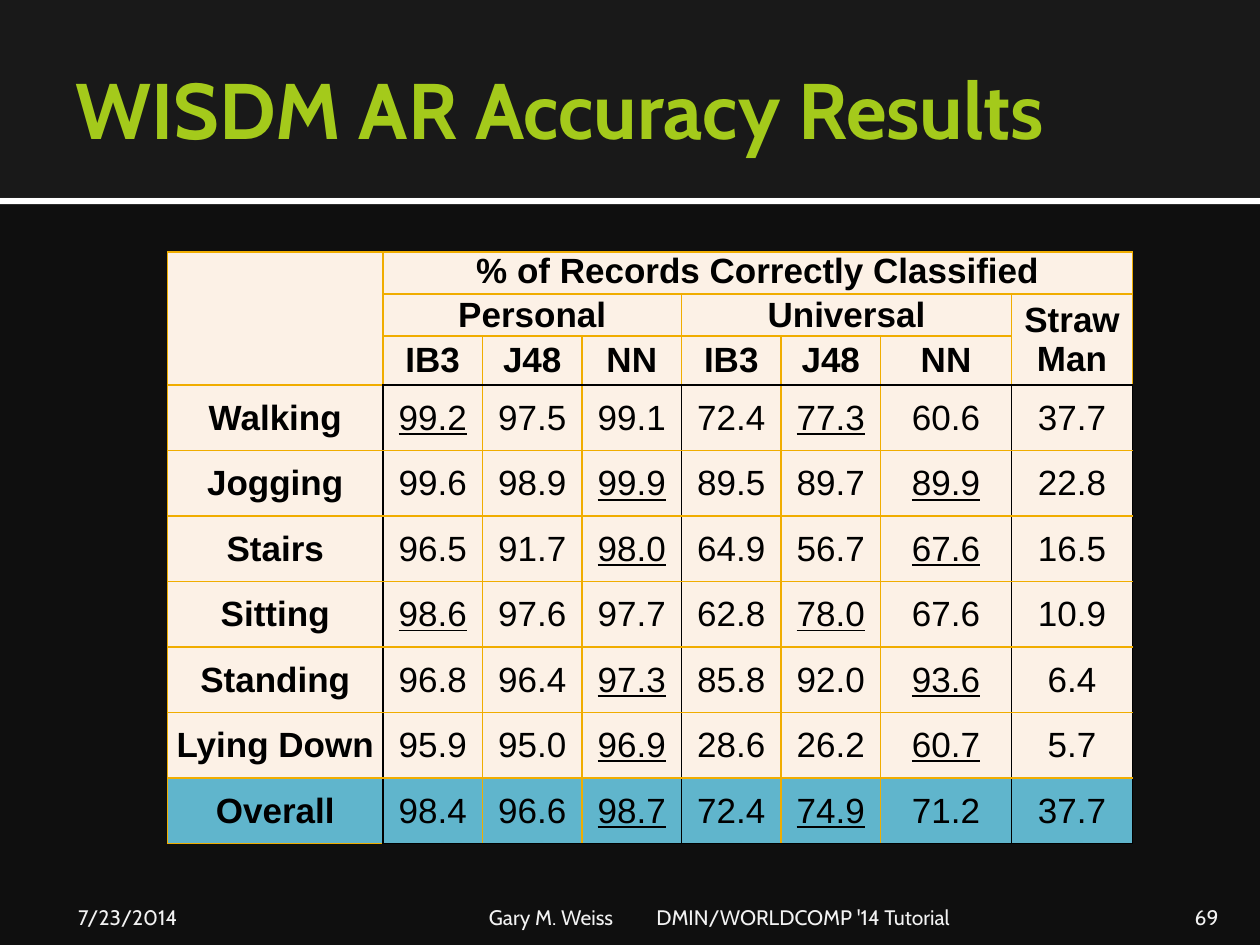
from lxml import etree
from pptx import Presentation
from pptx.dml.color import RGBColor
from pptx.enum.shapes import MSO_SHAPE
from pptx.enum.text import MSO_ANCHOR, PP_ALIGN
from pptx.oxml.ns import qn
from pptx.util import Inches, Pt

LEFT, CENTER, RIGHT = PP_ALIGN.LEFT, PP_ALIGN.CENTER, PP_ALIGN.RIGHT
TOP, MIDDLE, BOTTOM = MSO_ANCHOR.TOP, MSO_ANCHOR.MIDDLE, MSO_ANCHOR.BOTTOM

BLACK, AMBER, CREAM, BLUE = "000000", "F0AD00", "FCF1E6", "60B5CC"

TITLE = "WISDM AR Accuracy Results"
# text, left, width, left inset, right inset, alignment
FOOTERS = [
    ("7/23/2014", 0.5, 2.33, 0.12, 0.05, LEFT),
    ("Gary M. Weiss\tDMIN/WORLDCOMP '14 Tutorial", 3.83, 5.08, 0.05, 0.05, LEFT),
    ("69", 8.97, 0.8, 0.1, 0.1, RIGHT),
]
FOOTER_TAB = 1.33

# row, column, rows spanned, columns spanned, text
SPANS = [
    (0, 0, 3, 1, ""),
    (0, 1, 1, 7, "% of Records Correctly Classified"),
    (1, 1, 1, 3, "Personal"),
    (1, 4, 1, 3, "Universal"),
    (1, 7, 2, 1, "Straw Man"),
]
METHODS = ["IB3", "J48", "NN"] * 2
# activity, values, columns of the best personal and universal result
RESULTS = [
    ("Walking", "99.2 97.5 99.1 72.4 77.3 60.6 37.7", (1, 5)),
    ("Jogging", "99.6 98.9 99.9 89.5 89.7 89.9 22.8", (3, 6)),
    ("Stairs", "96.5 91.7 98.0 64.9 56.7 67.6 16.5", (3, 6)),
    ("Sitting", "98.6 97.6 97.7 62.8 78.0 67.6 10.9", (1, 5)),
    ("Standing", "96.8 96.4 97.3 85.8 92.0 93.6 6.4", (3, 6)),
    ("Lying Down", "95.9 95.0 96.9 28.6 26.2 60.7 5.7", (3, 6)),
    ("Overall", "98.4 96.6 98.7 72.4 74.9 71.2 37.7", (3, 5)),
]
HEAD_ROWS = 3
COL_WIDTHS = [1.71] + [0.79] * 5 + [1.04, 0.96]
ROW_HEIGHTS = [0.33, 0.33, 0.39] + [0.52] * len(RESULTS)
GROUP_EDGES = (1, 4, 7, 8)
BLOCK_EDGES = (HEAD_ROWS, len(ROW_HEIGHTS))


def rgb(color):
    return RGBColor.from_string(color)


def add_run(p, text, font, size, color, bold=False, underline=False):
    r = p.add_run()
    r.text = text
    r.font.name, r.font.size = font, Pt(size)
    r.font.bold, r.font.underline = bold, underline
    r.font.color.rgb = rgb(color)


def set_frame(tf, anchor, left, top, right, bottom):
    tf.word_wrap = True
    tf.vertical_anchor = anchor
    tf.margin_left, tf.margin_top = Inches(left), Inches(top)
    tf.margin_right, tf.margin_bottom = Inches(right), Inches(bottom)


def add_band(slide, top, height, color):
    sp = slide.shapes.add_shape(MSO_SHAPE.RECTANGLE, 0, Inches(top), Inches(10), Inches(height))
    sp.shadow.inherit = False
    sp.fill.solid()
    sp.fill.fore_color.rgb = rgb(color)
    sp.line.fill.background()


def add_title(slide):
    sp = slide.shapes.title
    sp.left, sp.top, sp.width, sp.height = (Inches(v) for v in (0.5, 0.17, 9, 1.37))
    set_frame(sp.text_frame, MIDDLE, 0.1, 0.05, 0.05, 0.05)
    p = sp.text_frame.paragraphs[0]
    p.alignment = LEFT
    add_run(p, TITLE, "Cabin", 45, "A4CA1B", bold=True)
    slide.shapes._spTree.append(sp._element)  # in front of the bands


def add_footer(slide, text, left, width, inset_left, inset_right, align):
    box = slide.shapes.add_textbox(Inches(left), Inches(7.08), Inches(width), Inches(0.3))
    set_frame(box.text_frame, BOTTOM, inset_left, 0.05, inset_right, 0)
    p = box.text_frame.paragraphs[0]
    p.alignment = align
    if "\t" in text:
        tabs = etree.SubElement(p._p.get_or_add_pPr(), qn("a:tabLst"))
        etree.SubElement(tabs, qn("a:tab"), pos=str(Inches(FOOTER_TAB)), algn="l")
    add_run(p, text, "Cabin", 12, "F2F2F2")


def set_borders(cell, row, col):
    """Black lines frame the groups of results; all other lines are amber."""
    def vertical(edge):
        return BLACK if row >= HEAD_ROWS and edge in GROUP_EDGES else AMBER

    def horizontal(edge):
        return BLACK if col > 0 and edge in BLOCK_EDGES else AMBER

    height = cell.span_height if cell.is_merge_origin else 1
    width = cell.span_width if cell.is_merge_origin else 1
    sides = [("L", vertical(col)), ("R", vertical(col + width)),
             ("T", horizontal(row)), ("B", horizontal(row + height))]
    tcPr = cell._tc.get_or_add_tcPr()
    for side, color in sides:
        ln = etree.SubElement(tcPr, qn("a:ln" + side), w=str(Pt(1)))
        fill = etree.SubElement(ln, qn("a:solidFill"))
        etree.SubElement(fill, qn("a:srgbClr"), val=color)


def fill_cell(table, row, col, text, bold=True, underline=False):
    cell = table.cell(row, col)
    set_borders(cell, row, col)
    cell.fill.solid()
    cell.fill.fore_color.rgb = rgb(BLUE if row == len(ROW_HEIGHTS) - 1 else CREAM)
    cell.vertical_anchor = MIDDLE if row else TOP
    cell.margin_left = cell.margin_right = Inches(0.04)
    cell.margin_top = cell.margin_bottom = 0
    p = cell.text_frame.paragraphs[0]
    p.alignment = CENTER
    if text:
        add_run(p, text, "Arial", 20, BLACK, bold, underline)


def add_results(slide):
    frame = slide.shapes.add_table(
        len(ROW_HEIGHTS), len(COL_WIDTHS), Inches(1.33), Inches(2),
        Inches(sum(COL_WIDTHS)), Inches(sum(ROW_HEIGHTS)))
    table = frame.table
    table.first_row = table.horz_banding = False
    for column, width in zip(table.columns, COL_WIDTHS):
        column.width = Inches(width)
    for row, height in zip(table.rows, ROW_HEIGHTS):
        row.height = Inches(height)

    for row, col, height, width, text in SPANS:
        table.cell(row, col).merge(table.cell(row + height - 1, col + width - 1))
        fill_cell(table, row, col, text)
    for col, method in enumerate(METHODS, 1):
        fill_cell(table, HEAD_ROWS - 1, col, method)
    for row, (activity, values, best) in enumerate(RESULTS, HEAD_ROWS):
        fill_cell(table, row, 0, activity)
        for col, value in enumerate(values.split(), 1):
            fill_cell(table, row, col, value, bold=False, underline=col in best)


def main():
    prs = Presentation()
    prs.slide_width, prs.slide_height = Inches(10), Inches(7.5)
    slide = prs.slides.add_slide(prs.slide_layouts[5])
    slide.background.fill.solid()
    slide.background.fill.fore_color.rgb = rgb("0F0F0F")
    add_band(slide, 1.57, 0.05, "FFFFFF")
    add_band(slide, 0, 1.57, "191919")
    add_title(slide)
    for footer in FOOTERS:
        add_footer(slide, *footer)
    add_results(slide)
    prs.save("out.pptx")


if __name__ == "__main__":
    main()
